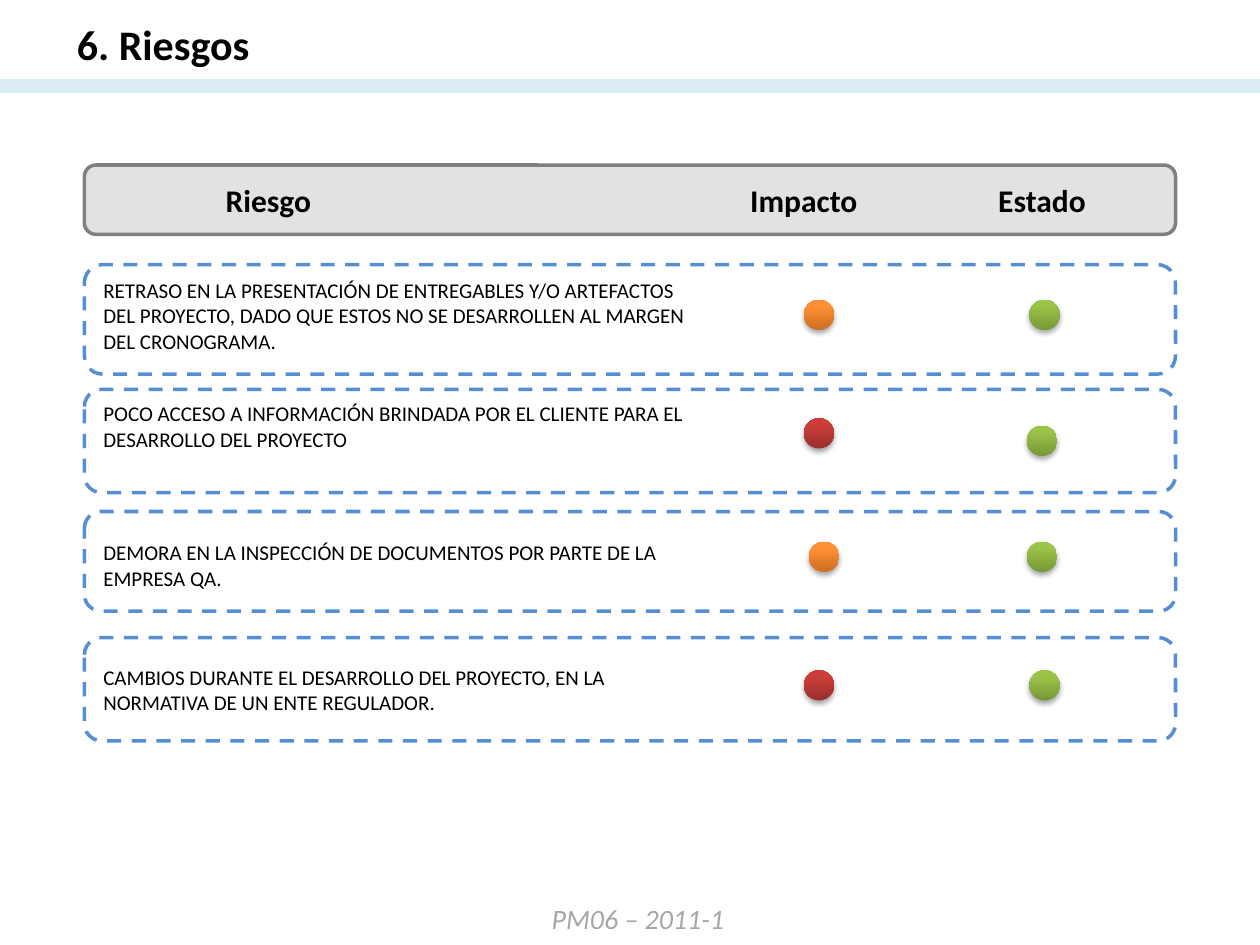
import copy
from dataclasses import dataclass

import pptx
import pptx.dml.color
import pptx.enum.dml
import pptx.enum.shapes
import pptx.enum.text
import pptx.oxml.ns
import pptx.util
from lxml import etree

Inches = pptx.util.Inches
Pt = pptx.util.Pt
RGBColor = pptx.dml.color.RGBColor
MSO_SHAPE = pptx.enum.shapes.MSO_SHAPE
PP_ALIGN = pptx.enum.text.PP_ALIGN
qn = pptx.oxml.ns.qn

BLACK = RGBColor(0x00, 0x00, 0x00)
FOOTER_GRAY = RGBColor(0xA6, 0xA6, 0xA6)
HEADER_FILL = RGBColor(0xBF, 0xBF, 0xBF)
HEADER_LINE = RGBColor(0x80, 0x80, 0x80)
RULE_BLUE = RGBColor(0xDB, 0xEE, 0xF4)
DASH_BLUE = RGBColor(0x55, 0x8E, 0xD5)
ORANGE = [RGBColor(0xCC, 0x6E, 0x20), RGBColor(0xFF, 0x90, 0x34), RGBColor(0xFF, 0x91, 0x36)]
RED = [RGBColor(0x9C, 0x2F, 0x2D), RGBColor(0xCB, 0x3E, 0x3A), RGBColor(0xCE, 0x3B, 0x37)]
GREEN = [RGBColor(0x77, 0x97, 0x37), RGBColor(0x9B, 0xC3, 0x48), RGBColor(0x9D, 0xC7, 0x46)]

LEFT, WIDTH = 0.67, 8.66
COLUMNS = [4.98, 1.55, 1.98]
DOT = 0.24


@dataclass
class Light:
    x: float
    y: float
    colors: list


@dataclass
class Risk:
    text: str
    table_top: float
    table_height: float
    top: float
    height: float
    impact: Light
    status: Light


@dataclass
class Heading:
    text: str
    x: float
    width: float


RISKS = [
    Risk("RETRASO EN LA PRESENTACIÓN DE ENTREGABLES Y/O ARTEFACTOS DEL PROYECTO, "
         "DADO QUE ESTOS NO SE DESARROLLEN AL MARGEN DEL CRONOGRAMA.",
         2.06, 0.9, 2.1, 0.87, Light(6.38, 2.38, ORANGE), Light(8.17, 2.38, GREEN)),
    Risk("POCO ACCESO A INFORMACIÓN BRINDADA POR EL CLIENTE PARA EL DESARROLLO DEL PROYECTO",
         3.04, 0.7, 3.09, 0.82, Light(6.38, 3.32, RED), Light(8.15, 3.38, GREEN)),
    Risk("DEMORA EN LA INSPECCIÓN DE DOCUMENTOS POR PARTE DE LA EMPRESA QA.",
         4.14, 0.7, 4.06, 0.79, Light(6.42, 4.3, ORANGE), Light(8.15, 4.3, GREEN)),
    Risk("CAMBIOS DURANTE EL DESARROLLO DEL PROYECTO, EN LA NORMATIVA DE UN ENTE REGULADOR.",
         5.13, 0.7, 5.06, 0.82, Light(6.38, 5.32, RED), Light(8.17, 5.32, GREEN)),
]
HEADINGS = [Heading("Riesgo", 1.38, 1.5), Heading("Impacto", 5.63, 1.5), Heading("Estado", 7.68, 1.18)]


def write(tf, text: str, size: float, color=BLACK, align=PP_ALIGN.LEFT, **font) -> None:
    p = tf.paragraphs[0]
    p.alignment = align
    r = p.add_run()
    r.text = text
    for name, value in {"name": "Calibri", "size": Pt(size), **font}.items():
        setattr(r.font, name, value)
    r.font.color.rgb = color


def add_text(s, x: float, y: float, w: float, h: float, text: str, size: float,
             wrap: bool = True, **style) -> None:
    tf = s.shapes.add_textbox(Inches(x), Inches(y), Inches(w), Inches(h)).text_frame
    tf.word_wrap = wrap
    tf.auto_size = pptx.enum.text.MSO_AUTO_SIZE.SHAPE_TO_FIT_TEXT
    write(tf, text, size, **style)


def add_frame(s, y: float, h: float, color: RGBColor):
    sp = s.shapes.add_shape(MSO_SHAPE.ROUNDED_RECTANGLE, Inches(LEFT), Inches(y), Inches(WIDTH), Inches(h))
    sp.shadow.inherit = False
    sp.fill.background()
    sp.line.color.rgb = color
    sp.line.width = Pt(2)
    return sp


def add_light(s, light: Light) -> None:
    sp = s.shapes.add_shape(MSO_SHAPE.OVAL, Inches(light.x), Inches(light.y), Inches(DOT), Inches(DOT))
    sp.line.fill.background()
    sp.fill.gradient()
    sp.fill.gradient_angle = 90
    last = sp.element.spPr.xpath(".//a:gs")[-1]
    last.addnext(copy.deepcopy(last))
    for stop, position, color in zip(sp.fill.gradient_stops, (0, 0.8, 1), light.colors):
        stop.position = position
        stop.color.rgb = color
    sp.shadow.inherit = False
    shadow = etree.SubElement(sp.element.spPr.find(qn("a:effectLst")), qn("a:outerShdw"),
                              blurRad=str(Pt(3.1)), dist=str(Pt(1.8)), dir="5400000", rotWithShape="0")
    color = etree.SubElement(shadow, qn("a:srgbClr"), val="000000")
    etree.SubElement(color, qn("a:alpha"), val="35000")


def format_cell(cell) -> None:
    tcPr = cell._tc.get_or_add_tcPr()
    for tag, width in {"lnL": 1, "lnR": 1, "lnT": 1, "lnB": 3}.items():
        ln = etree.SubElement(tcPr, qn(f"a:{tag}"), w=str(Pt(width)))
        fill = etree.SubElement(ln, qn("a:solidFill"))
        etree.SubElement(fill, qn("a:srgbClr"), val="FFFFFF")
    cell.fill.background()
    for side in ("left", "right", "top", "bottom"):
        setattr(cell, f"margin_{side}", Inches(0.15))


def add_risk(s, risk: Risk) -> None:
    table = s.shapes.add_table(1, len(COLUMNS), Inches(LEFT), Inches(risk.table_top),
                               Inches(sum(COLUMNS)), Inches(risk.table_height)).table
    for column, width in zip(table.columns, COLUMNS):
        column.width = Inches(width)
    for cell in table.iter_cells():
        format_cell(cell)
    write(table.cell(0, 0).text_frame, risk.text, 12, bold=False)
    frame = add_frame(s, risk.top, risk.height, DASH_BLUE)
    frame.line.dash_style = pptx.enum.dml.MSO_LINE.DASH
    for light in (risk.impact, risk.status):
        add_light(s, light)


def add_title(s, text: str) -> None:
    title = s.shapes.title
    for name, value in {"left": 0.51, "top": 0.1, "width": 5.04, "height": 0.5}.items():
        setattr(title, name, Inches(value))
    title.text_frame.vertical_anchor = pptx.enum.text.MSO_ANCHOR.TOP
    write(title.text_frame, text, 24, bold=True)


def add_rule(s) -> None:
    line = s.shapes.add_connector(pptx.enum.shapes.MSO_CONNECTOR.STRAIGHT,
                                  0, Inches(0.68), Inches(10), Inches(0.68))
    line.line.color.rgb = RULE_BLUE
    line.line.width = Pt(8)
    etree.SubElement(line._element.spPr, qn("a:effectLst"))


def add_header(s) -> None:
    header = add_frame(s, 1.31, 0.55, HEADER_LINE)
    header.fill.solid()
    header.fill.fore_color.rgb = HEADER_FILL
    color = header.element.spPr.find(qn("a:solidFill")).find(qn("a:srgbClr"))
    etree.SubElement(color, qn("a:alpha"), val="45000")
    for heading in HEADINGS:
        add_text(s, heading.x, 1.39, heading.width, 0.4, heading.text, 18,
                 align=PP_ALIGN.CENTER, bold=True)


def main() -> None:
    prs = pptx.Presentation()
    prs.slide_width, prs.slide_height = Inches(10), Inches(7.5)
    s = prs.slides.add_slide(prs.slide_layouts[5])
    add_title(s, "6. Riesgos")
    add_text(s, 4.28, 7.11, 1.59, 0.37, "PM06 – 2011-1", 16, wrap=False, color=FOOTER_GRAY, italic=True)
    add_rule(s)
    add_header(s)
    for risk in RISKS:
        add_risk(s, risk)
    prs.save("out.pptx")


if __name__ == "__main__":
    main()
